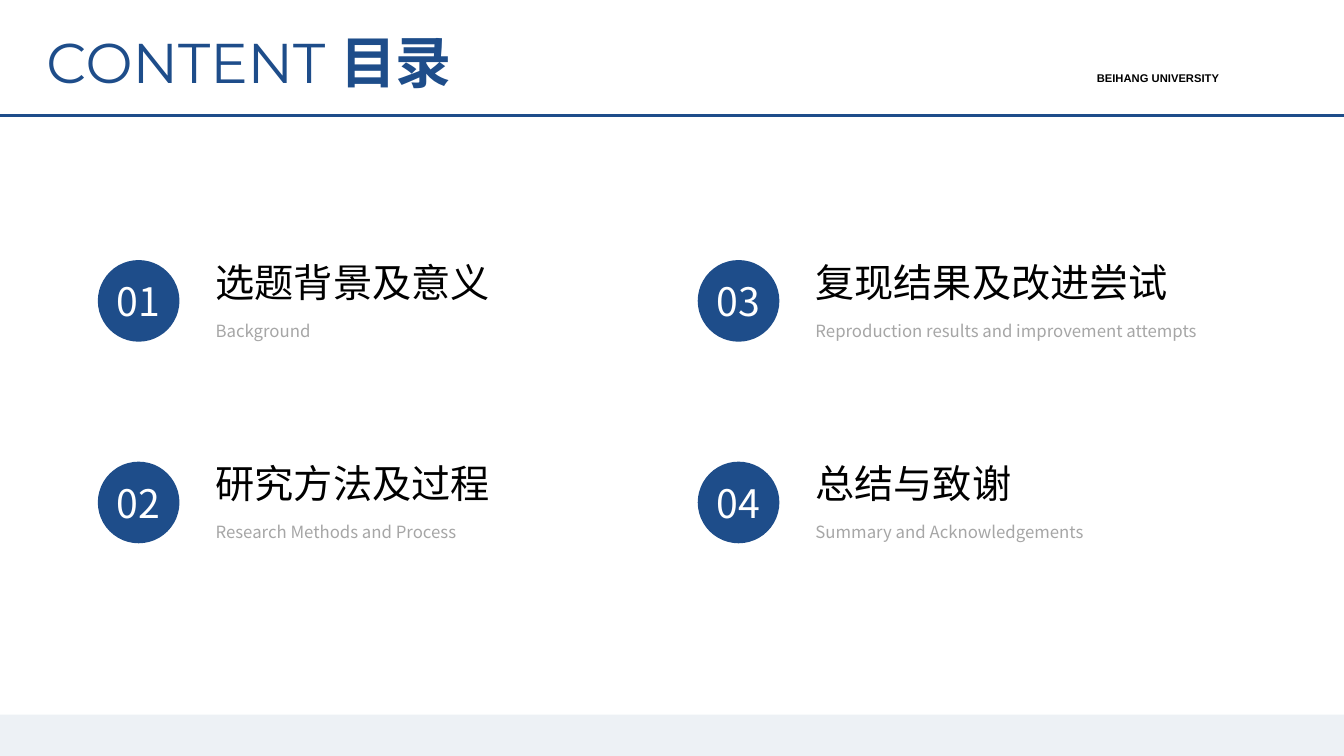
import dataclasses

import lxml.etree
import pptx
import pptx.dml.color
import pptx.enum.shapes
import pptx.enum.text
import pptx.oxml.ns
import pptx.util

Inches = pptx.util.Inches
Align = pptx.enum.text.PP_ALIGN
Anchor = pptx.enum.text.MSO_ANCHOR
Kind = pptx.enum.shapes.MSO_SHAPE
qn = pptx.oxml.ns.qn

BLUE, BLACK, GREY, WHITE = "1E4D8A", "000000", "A6A6A6", "FFFFFF"
NOTO = "Noto Sans CJK SC"


@dataclasses.dataclass
class Topic:
    """One entry of the contents list."""
    name: str
    note: str


def rgb(code: str) -> pptx.dml.color.RGBColor:
    """Turn a hex string into a colour."""
    return pptx.dml.color.RGBColor.from_string(code)


def box(at: tuple) -> list:
    """Turn inch numbers into lengths."""
    return [Inches(n) for n in at]


def write(para, text: str, size: float, color: str, face: str = NOTO, bold: bool = False) -> None:
    """Add a formatted run to a paragraph."""
    run = para.add_run()
    run.text = text
    style = {"size": pptx.util.Pt(size), "name": face, "bold": bold}
    for key, value in style.items():
        setattr(run.font, key, value)
    run.font.color.rgb = rgb(color)
    east = lxml.etree.SubElement(run.font._element, qn("a:ea"))
    east.set("typeface", NOTO)


def setup(shape, align, **extra):
    """Format the frame of a shape and return its first paragraph."""
    frame = shape.text_frame
    style = {"word_wrap": True, "vertical_anchor": Anchor.TOP, **extra}
    for key, value in style.items():
        setattr(frame, key, value)
    frame.paragraphs[0].alignment = align
    return frame.paragraphs[0]


def label(slide, at: tuple, align=Align.LEFT):
    """Add a text box and return its paragraph."""
    return setup(slide.shapes.add_textbox(*box(at)), align)


def solid(slide, kind, at: tuple, color: str):
    """Add a filled shape without an outline."""
    shape = slide.shapes.add_shape(kind, *box(at))
    shape.shadow.inherit = False
    shape.fill.solid()
    shape.fill.fore_color.rgb = rgb(color)
    shape.line.fill.background()
    return shape


def entry(slide, topic: Topic, num: int, left: float, top: float) -> None:
    """Draw a numbered badge with its topic and note."""
    badge = solid(slide, Kind.OVAL, (left, top, 0.81, 0.81), BLUE)
    mid = setup(badge, Align.CENTER, vertical_anchor=Anchor.MIDDLE, word_wrap=False,
                margin_left=0, margin_right=0, margin_top=0, margin_bottom=0)
    write(mid, f"{num:02}", 28, WHITE)
    write(label(slide, (left + 1.07, top - 0.07, 4.07, 0.57)), topic.name, 28, BLACK)
    note = label(slide, (left + 1.07, top + 0.45, 5.2, 0.38))
    note.line_spacing = 1.5
    write(note, topic.note, 12, GREY)


def head(slide) -> None:
    """Draw the title, the rule and the school name."""
    title = slide.shapes.title
    spot = zip(("left", "top", "width", "height"), box((0.36, 0.22, 4.89, 0.77)))
    for key, value in spot:
        setattr(title, key, value)
    para = setup(title, Align.LEFT, auto_size=pptx.enum.text.MSO_AUTO_SIZE.SHAPE_TO_FIT_TEXT)
    write(para, "CONTENT ", 40, BLUE, "Montserrat")
    write(para, "目录", 40, BLUE, "Montserrat", True)
    rule = slide.shapes.add_connector(pptx.enum.shapes.MSO_CONNECTOR.STRAIGHT,
                                      *box((0, 1.15, 13.33, 1.15)))
    rule.line.color.rgb = rgb(BLUE)
    rule.line.width = pptx.util.Pt(2.25)
    lxml.etree.SubElement(rule._element.spPr, qn("a:effectLst"))
    school = label(slide, (10.78, 0.66, 2.33, 0.24), Align.JUSTIFY)
    write(school, "BEIHANG UNIVERSITY", 8, BLACK, "Arial", True)


def main() -> None:
    """Build the contents slide."""
    deck = pptx.Presentation()
    deck.slide_width, deck.slide_height = box((13.33, 7.5))
    slide = deck.slides.add_slide(deck.slide_layouts[5])
    band = solid(slide, Kind.RECTANGLE, (0, 7.09, 13.33, 0.41), BLUE)
    tint = band._element.spPr.find(qn("a:solidFill")).find(qn("a:srgbClr"))
    lxml.etree.SubElement(tint, qn("a:alpha")).set("val", "8000")
    topics = [
        Topic("选题背景及意义", "Background"),
        Topic("研究方法及过程", "Research Methods and Process"),
        Topic("复现结果及改进尝试", "Reproduction results and improvement attempts"),
        Topic("总结与致谢", "Summary and Acknowledgements"),
    ]
    for i, topic in enumerate(topics):
        col, row = divmod(i, 2)
        entry(slide, topic, i + 1, 0.97 + 5.95 * col, 2.58 + 2 * row)
    head(slide)
    deck.save("out.pptx")


if __name__ == "__main__":
    main()
